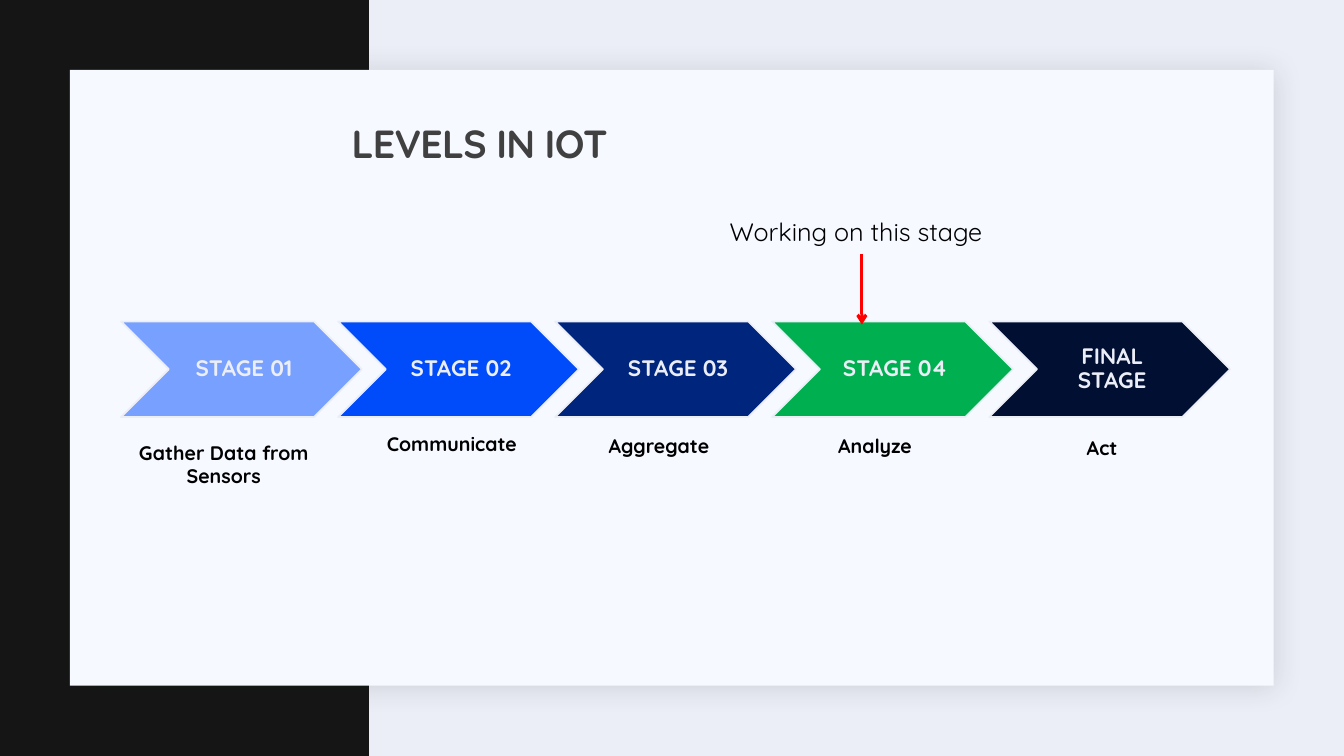
from dataclasses import dataclass

from lxml import etree
from pptx import Presentation
from pptx.dml.color import RGBColor
from pptx.enum.shapes import MSO_CONNECTOR, MSO_SHAPE
from pptx.enum.text import MSO_ANCHOR, PP_ALIGN
from pptx.oxml.ns import qn
from pptx.util import Cm, Pt

RECT, CHEVRON = MSO_SHAPE.RECTANGLE, MSO_SHAPE.CHEVRON
STRAIGHT = MSO_CONNECTOR.STRAIGHT
TOP, MIDDLE = MSO_ANCHOR.TOP, MSO_ANCHOR.MIDDLE
LEFT, CENTER = PP_ALIGN.LEFT, PP_ALIGN.CENTER

FONT = "Quicksand"
COLORS = {
    "page": "ECEEF7", "band": "141514", "card": "F6F9FF", "shadow": "1F2125",
    "title": "404040", "text": "000000", "arrow": "FF0000",
    "sky": "78A0FF", "blue": "004BFA", "navy": "00257D",
    "green": "00B050", "midnight": "000F32",
}

# Stage row, in centimetres
ROW_LEFT, ROW_TOP, PITCH = 3.05, 8.1, 5.47
CHEVRON_W, CHEVRON_H = 6.07, 2.41
LABEL_INSET = CHEVRON_H / 2
CAPTION_DX, CAPTION_W, CAPTION_H = 0.42, 4.85, 3.25


@dataclass
class Stage:
    """One chevron with the caption below it."""
    label: str
    caption: str
    color: str
    caption_top: float
    right_inset: float = 0.51
    spacing: float = 0.9
    indent: float = 0


@dataclass
class Style:
    """Look of a one-paragraph text box; insets are left, top, right, bottom."""
    size: float
    color: str = "text"
    bold: bool = True
    align: PP_ALIGN = CENTER
    anchor: MSO_ANCHOR = TOP
    spacing: float = 0.9
    insets: tuple[float, ...] = (0.25, 0.13, 0.25, 0.13)


STAGES = [
    Stage("STAGE 01", "Gather Data from Sensors", "sky", 9.91, spacing=1.0),
    Stage("STAGE 02", "Communicate", "blue", 10.08, right_inset=0, indent=0.05),
    Stage("STAGE 03", "Aggregate", "navy", 10.13, indent=0.05),
    Stage("STAGE 04", "Analyze", "green", 10.13),
    Stage("FINAL STAGE", "Act", "midnight", 10.19, right_inset=0),
]


def rgb(name: str) -> RGBColor:
    """Look up a named colour."""
    return RGBColor.from_string(COLORS[name])


def add_shape(s, kind, x: float, y: float, w: float, h: float, fill: str, line: str = ""):
    """Add a filled preset shape, outlined if a line colour is given."""
    sp = s.shapes.add_shape(kind, Cm(x), Cm(y), Cm(w), Cm(h))
    sp.shadow.inherit = False
    sp.fill.solid()
    sp.fill.fore_color.rgb = rgb(fill)
    if line:
        sp.line.color.rgb = rgb(line)
        sp.line.width = Pt(1.25)
    else:
        sp.line.fill.background()
    return sp


def add_text(s, text: str, x: float, y: float, w: float, h: float, style: Style):
    """Add a text box with one run and return its paragraph and run."""
    tf = s.shapes.add_textbox(Cm(x), Cm(y), Cm(w), Cm(h)).text_frame
    tf.word_wrap = True
    tf.vertical_anchor = style.anchor
    tf.margin_left, tf.margin_top, tf.margin_right, tf.margin_bottom = map(Cm, style.insets)
    p = tf.paragraphs[0]
    p.alignment = style.align
    p.line_spacing = style.spacing
    r = p.add_run()
    r.text = text
    r.font.name = FONT
    r.font.size = Pt(style.size)
    r.font.bold = style.bold
    r.font.color.rgb = rgb(style.color)
    return p, r


def add_card_shadow(sp) -> None:
    """Give a shape a soft outer shadow."""
    effects = sp._element.spPr.find(qn("a:effectLst"))
    shadow = etree.SubElement(effects, qn("a:outerShdw"), blurRad=str(Pt(20)),
                              dist=str(Pt(2)), dir=str(45 * 60000), rotWithShape="0")
    color = etree.SubElement(shadow, qn("a:srgbClr"), val=COLORS["shadow"])
    etree.SubElement(color, qn("a:alpha"), val="15000")


def add_stage(s, index: int, stage: Stage) -> None:
    """Draw a stage at its place in the row."""
    x = ROW_LEFT + index * PITCH
    add_shape(s, CHEVRON, x, ROW_TOP, CHEVRON_W, CHEVRON_H, stage.color, "page")
    add_text(s, stage.label, x + LABEL_INSET, ROW_TOP, CHEVRON_W - 2 * LABEL_INSET, CHEVRON_H,
             Style(16, "page", anchor=MIDDLE, insets=(0.18, 0.05, 0.05, 0.05)))
    p, _ = add_text(s, stage.caption, x + CAPTION_DX, stage.caption_top, CAPTION_W, CAPTION_H,
                    Style(14, spacing=stage.spacing, insets=(0, 1.19, stage.right_inset, 0)))
    if stage.indent:
        p._p.get_or_add_pPr().set("marL", str(Cm(stage.indent)))


def add_arrow(s, x: float, top: float, bottom: float) -> None:
    """Draw a downward arrow."""
    cxn = s.shapes.add_connector(STRAIGHT, Cm(x), Cm(top), Cm(x), Cm(bottom))
    cxn.line.color.rgb = rgb("arrow")
    cxn.line.width = Pt(2.25)
    etree.SubElement(cxn.line._get_or_add_ln(), qn("a:tailEnd"), type="arrow")
    etree.SubElement(cxn._element.spPr, qn("a:effectLst"))


def main() -> None:
    """Build and save the slide."""
    prs = Presentation()
    prs.slide_width, prs.slide_height = Cm(33.87), Cm(19.05)
    s = prs.slides.add_slide(prs.slide_layouts[6])
    s.background.fill.solid()
    s.background.fill.fore_color.rgb = rgb("page")

    add_shape(s, RECT, 0, 0, 9.3, 19.05, "band")
    add_card_shadow(add_shape(s, RECT, 1.76, 1.76, 30.34, 15.52, "card"))
    for index, stage in enumerate(STAGES):
        add_stage(s, index, stage)

    _, r = add_text(s, "LEVELS IN IOT ", 7.49, 2.87, 9.45, 1.63,
                    Style(28, "title", anchor=MIDDLE))
    r.font._element.set("spc", "-50")
    add_arrow(s, 21.72, 6.4, 8.18)
    add_text(s, "Working on this stage", 18.14, 5.33, 7.19, 1.02,
             Style(18, bold=False, align=LEFT, spacing=1.0))
    prs.save("out.pptx")


main()
